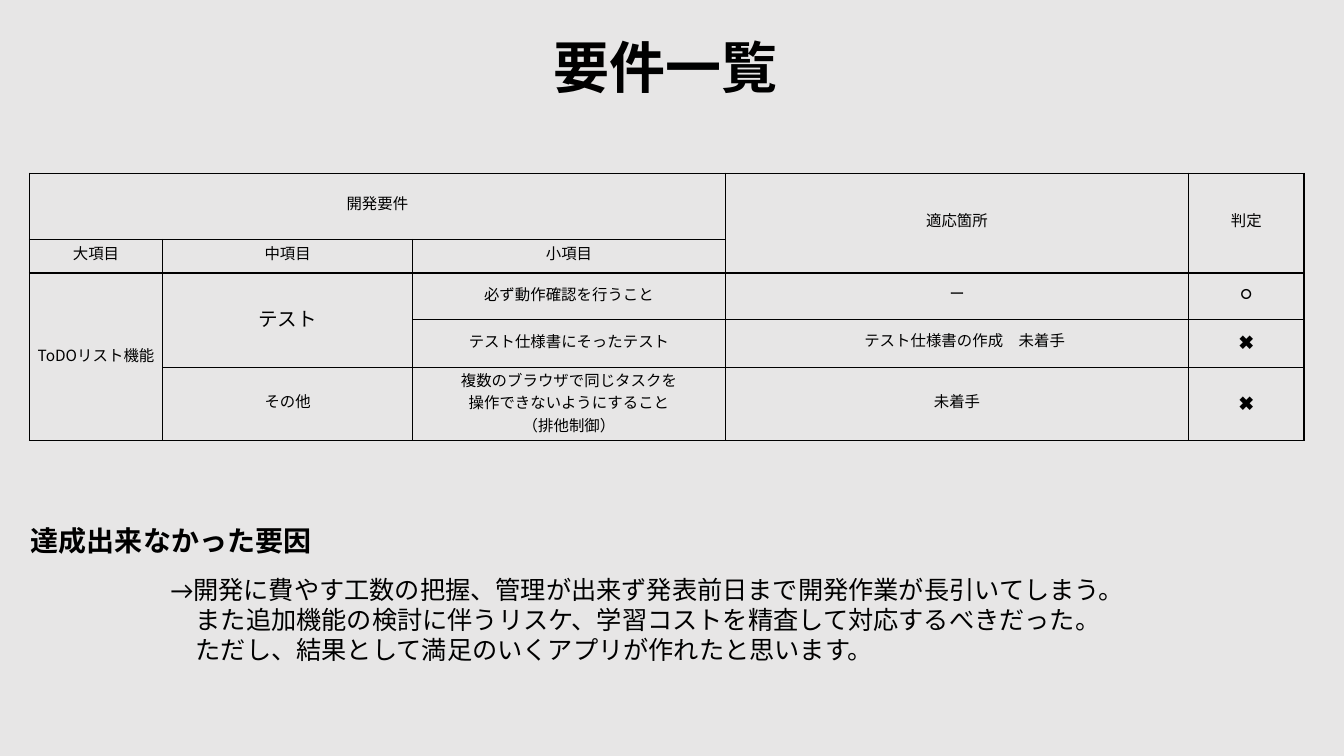
from lxml import etree
from pptx import Presentation
from pptx.dml.color import RGBColor
from pptx.enum.lang import MSO_LANGUAGE_ID
from pptx.enum.text import MSO_ANCHOR, MSO_AUTO_SIZE, PP_ALIGN
from pptx.oxml import parse_xml
from pptx.oxml.ns import nsdecls, qn
from pptx.util import Pt

SCALE = 9525
TITLE_ONLY = 5
LEFT, CENTER = PP_ALIGN.LEFT, PP_ALIGN.CENTER
TOP, MIDDLE = MSO_ANCHOR.TOP, MSO_ANCHOR.MIDDLE
NO_FIT = MSO_AUTO_SIZE.NONE
JAPANESE = MSO_LANGUAGE_ID.JAPANESE
BLACK = "000000"
BACKDROP = "E7E6E6"
CALIBRI = "Calibri"
NOTO = "Noto Sans CJK JP"

COLUMN_WIDTHS = [127, 238, 298, 441, 110]
ROW_HEIGHTS = [63, 32, 44, 46, 67]
MERGES = [(0, 0, 0, 2), (0, 3, 1, 3), (0, 4, 1, 4), (2, 0, 4, 0), (2, 1, 3, 1)]
REQUIREMENTS = [
    (0, 0, "開発要件", 11, CALIBRI),
    (0, 3, "適応箇所", 11, CALIBRI),
    (0, 4, "判定", 11, CALIBRI),
    (1, 0, "大項目", 11, CALIBRI),
    (1, 1, "中項目", 11, CALIBRI),
    (1, 2, "小項目", 11, CALIBRI),
    (2, 0, "ToDOリスト機能", 11, NOTO),
    (2, 1, "テスト", 14, NOTO),
    (2, 2, "必ず動作確認を行うこと", 11, NOTO),
    (2, 3, "ー", 11, CALIBRI),
    (2, 4, "○", 14, CALIBRI),
    (3, 2, "テスト仕様書にそったテスト", 11, NOTO),
    (3, 3, "　テスト仕様書の作成　未着手", 11, CALIBRI),
    (3, 4, "✖︎", 14, NOTO),
    (4, 1, "その他", 11, CALIBRI),
    (4, 2, "複数のブラウザで同じタスクを\n操作できないようにすること\n（排他制御）", 11, NOTO),
    (4, 3, "未着手", 11, CALIBRI),
    (4, 4, "✖︎", 14, NOTO),
]
REASONS = (
    "→開発に費やす工数の把握、管理が出来ず発表前日まで開発作業が長引いてしまう。\n"
    "　また追加機能の検討に伴うリスケ、学習コストを精査して対応するべきだった。\n"
    "　ただし、結果として満足のいくアプリが作れたと思います。"
)


def px(length):
    """Turn whole pixels into EMU."""
    return length * SCALE


def color(value):
    """Turn a hex string into a colour."""
    return RGBColor.from_string(value)


def write(frame, text, size, font=CALIBRI, bold=False, align=LEFT):
    """Fill a text frame with one paragraph per line of text."""
    for index, line in enumerate(text.split("\n")):
        para = frame.paragraphs[0] if index == 0 else frame.add_paragraph()
        para.alignment = align
        span = para.add_run()
        span.text = line
        span.font.size = Pt(size)
        span.font.name = font
        span.font.bold = bold
        span.font.color.rgb = color(BLACK)
        span.font.language_id = JAPANESE
        latin = span.font._element.find(qn("a:latin"))
        latin.addnext(parse_xml(f'<a:ea {nsdecls("a")} typeface="{font}"/>'))


def set_frame(frame):
    """Anchor a text frame at the top without wrapping or fitting."""
    frame.word_wrap = False
    frame.auto_size = NO_FIT
    frame.vertical_anchor = TOP


def add_title(page, text, left, top, width, height):
    """Place and fill the title placeholder."""
    title = page.shapes.title
    title.left, title.top = px(left), px(top)
    title.width, title.height = px(width), px(height)
    set_frame(title.text_frame)
    write(title.text_frame, text, 40, bold=True)


def add_text(page, text, left, top, width, height, size, bold=False):
    """Add a text box."""
    box = page.shapes.add_textbox(px(left), px(top), px(width), px(height))
    set_frame(box.text_frame)
    write(box.text_frame, text, size, bold=bold)


def style_cell(cell):
    """Clear a cell's fill, set its margins and draw its borders."""
    cell.fill.background()
    cell.vertical_anchor = MIDDLE
    cell.margin_left = cell.margin_top = cell.margin_right = px(1)
    cell.margin_bottom = px(5)
    properties = cell._tc.get_or_add_tcPr()
    for index, side in enumerate(("lnL", "lnR", "lnT", "lnB")):
        line = etree.Element(qn(f"a:{side}"), w=str(Pt(1)))
        fill = etree.SubElement(line, qn("a:solidFill"))
        etree.SubElement(fill, qn("a:srgbClr"), val=BLACK)
        properties.insert(index, line)


def add_requirements(page, left, top):
    """Add the table of requirements."""
    frame = page.shapes.add_table(
        len(ROW_HEIGHTS), len(COLUMN_WIDTHS), px(left), px(top),
        px(sum(COLUMN_WIDTHS)), px(sum(ROW_HEIGHTS)))
    table = frame.table
    table.first_row = table.horz_banding = False
    for column, width in zip(table.columns, COLUMN_WIDTHS):
        column.width = px(width)
    for row, height in zip(table.rows, ROW_HEIGHTS):
        row.height = px(height)
    for cell in table.iter_cells():
        style_cell(cell)
    for first_row, first_column, last_row, last_column in MERGES:
        table.cell(first_row, first_column).merge(table.cell(last_row, last_column))
    for row, column, text, size, font in REQUIREMENTS:
        write(table.cell(row, column).text_frame, text, size, font, align=CENTER)


def main():
    """Build the slide and save it."""
    deck = Presentation()
    deck.slide_width, deck.slide_height = px(1280), px(720)
    page = deck.slides.add_slide(deck.slide_layouts[TITLE_ONLY])
    page.background.fill.solid()
    page.background.fill.fore_color.rgb = color(BACKDROP)
    add_title(page, "要件一覧", 518, 26, 243, 74)
    add_requirements(page, 28, 165)
    add_text(page, "達成出来なかった要因", 20, 494, 288, 42, 20, bold=True)
    add_text(page, REASONS, 153, 542, 974, 97, 18)
    deck.save("out.pptx")


if __name__ == "__main__":
    main()
